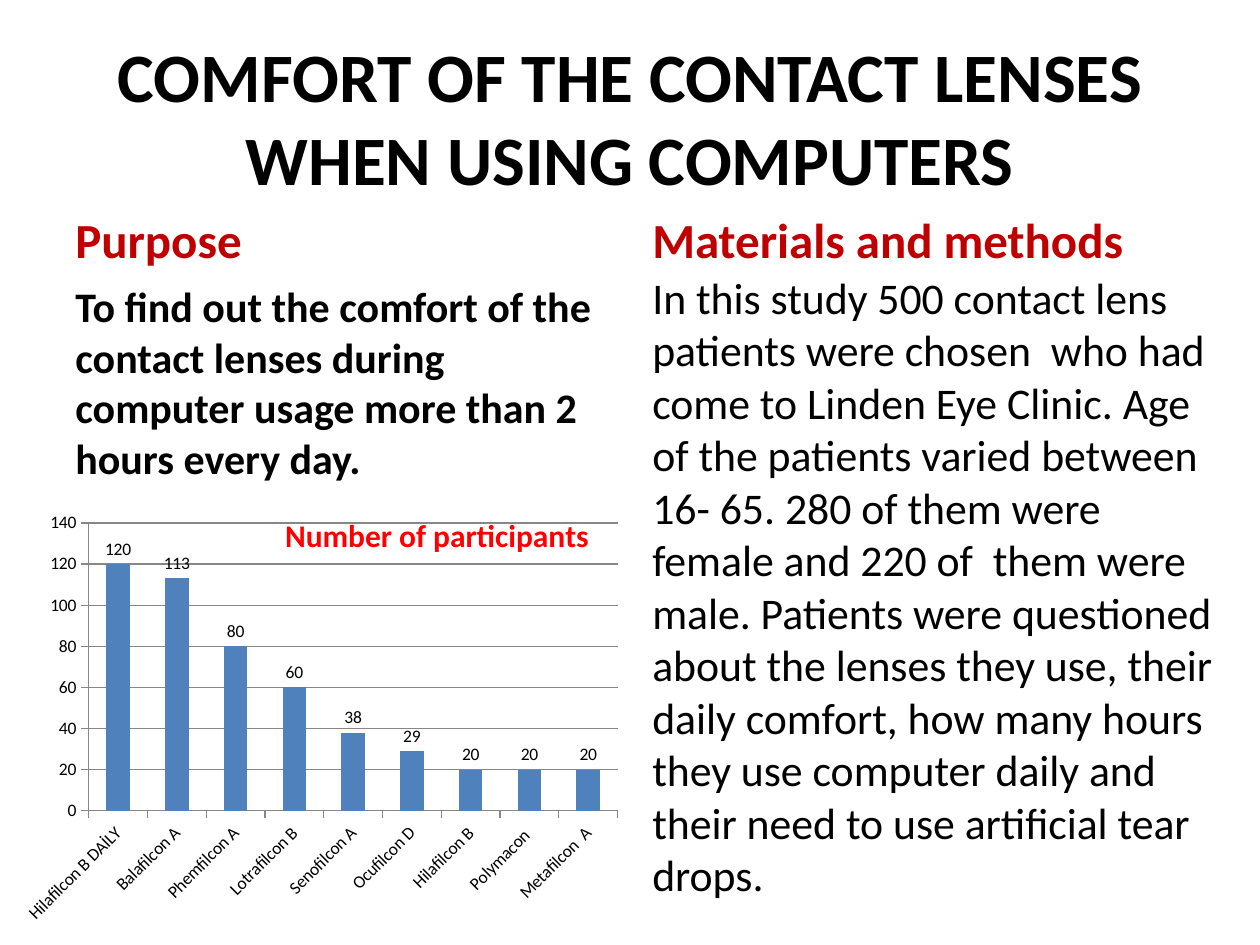
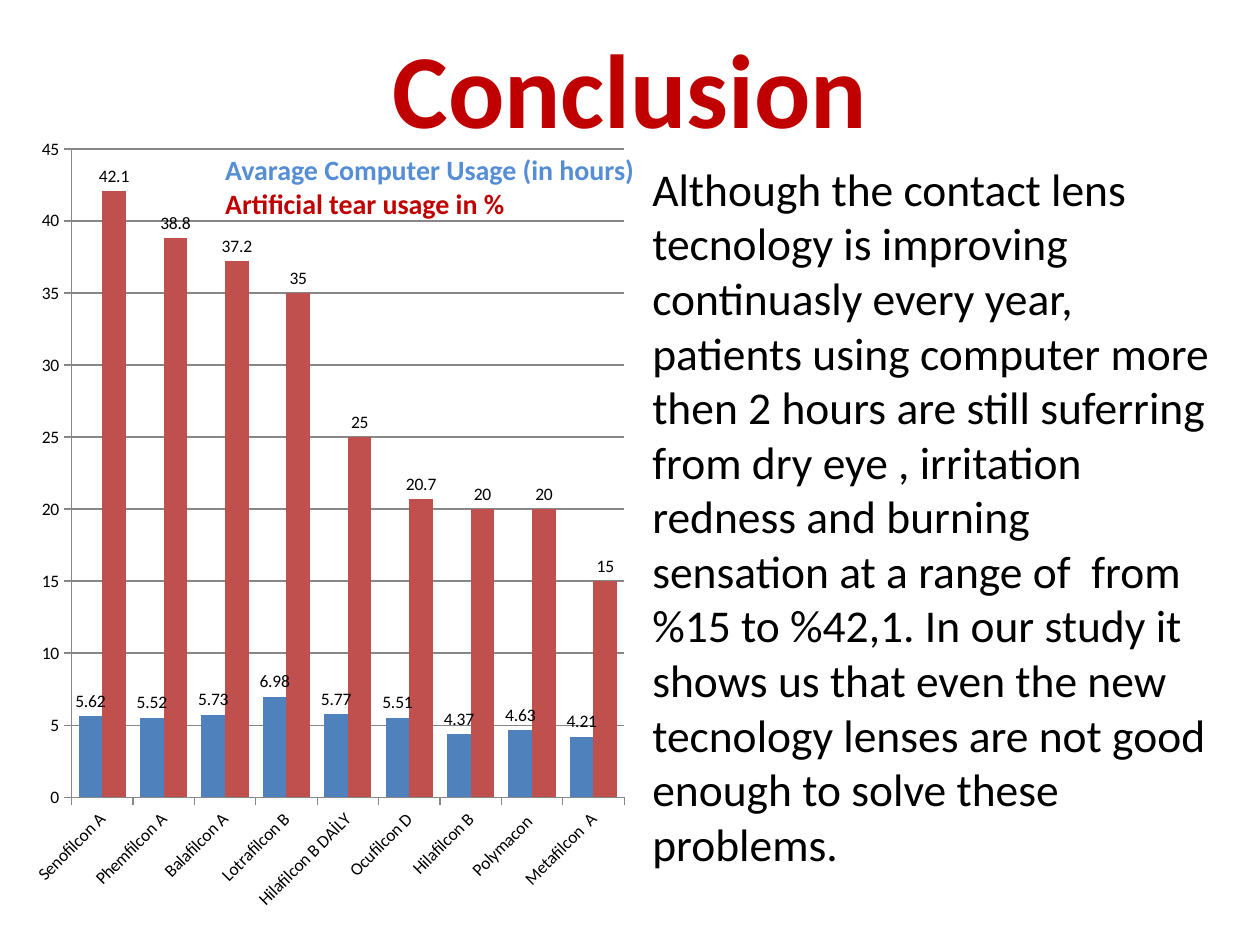
from collections import namedtuple

from lxml import etree
from pptx import Presentation
from pptx.chart.data import CategoryChartData
from pptx.dml.color import RGBColor
from pptx.enum.chart import XL_CHART_TYPE, XL_LABEL_POSITION, XL_TICK_MARK
from pptx.enum.text import MSO_ANCHOR, MSO_AUTO_SIZE, PP_ALIGN
from pptx.oxml.ns import qn
from pptx.util import Cm, Pt

BLACK = RGBColor(0x00, 0x00, 0x00)
DARK_RED = RGBColor(0xC0, 0x00, 0x00)
BRIGHT_RED = RGBColor(0xFF, 0x00, 0x00)
SKY_BLUE = RGBColor(0x55, 0x8E, 0xD5)
BAR_BLUE = RGBColor(0x4F, 0x81, 0xBD)
BAR_RED = RGBColor(0xC0, 0x50, 0x4D)
GRID_GRAY = RGBColor(0x87, 0x87, 0x87)
FONT = "Calibri"
TITLE_ONLY = 5

Box = namedtuple("Box", "left top width height")
COLUMN_WIDTH = 11.22
HEADING_HEIGHT = 1.27

PARTICIPANTS = {
    "Hilafilcon B DAİLY": 120, "Balafilcon A": 113, "Phemfilcon A": 80,
    "Lotrafilcon B": 60, "Senofilcon A": 38, "Ocufilcon D": 29,
    "Hilafilcon B": 20, "Polymacon ": 20, "Metafilcon  A": 20,
}
HOURS_AND_TEARS = {
    "Senofilcon A": (5.62, 42.1), "Phemfilcon A": (5.52, 38.8),
    "Balafilcon A": (5.73, 37.2), "Lotrafilcon B": (6.98, 35),
    "Hilafilcon B DAİLY": (5.77, 25), "Ocufilcon D": (5.51, 20.7),
    "Hilafilcon B": (4.37, 20), "Polymacon ": (4.63, 20),
    "Metafilcon  A": (4.21, 15),
}
PURPOSE = ("To find out the comfort of the contact lenses during computer usage "
           "more than 2 hours every day.")
METHODS = ("In this study 500 contact lens patients were chosen  who had come to "
           "Linden Eye Clinic. Age of the patients varied between 16- 65. 280 of them "
           "were female and 220 of  them were male. Patients were questioned about "
           "the lenses they use, their daily comfort, how many hours they use computer "
           "daily and their need to use artificial tear drops.")
CONCLUSION = ("Although the contact lens tecnology is improving continuasly every year, "
              "patients using computer more then 2 hours are still suferring from dry "
              "eye , irritation redness and burning sensation at a range of  from %15 "
              "to %42,1. In our study it shows us that even the new tecnology lenses "
              "are not good enough to solve these problems.")


def in_cm(box):
    return [Cm(length) for length in box]


def style_font(font, size, color, bold=False):
    font.name = FONT
    font.size = Pt(size)
    font.bold = bold
    font.color.rgb = color


def add_run(paragraph, text, size, color, bold=False):
    run = paragraph.add_run()
    run.text = text
    style_font(run.font, size, color, bold)


def add_title(slide, box, text, size, color):
    title = slide.shapes.title
    title.left, title.top, title.width, title.height = in_cm(box)
    frame = title.text_frame
    frame.auto_size = MSO_AUTO_SIZE.NONE
    frame.vertical_anchor = MSO_ANCHOR.MIDDLE
    frame.paragraphs[0].alignment = PP_ALIGN.CENTER
    add_run(frame.paragraphs[0], text, size, color, True)


def add_text(slide, box, lines, size, bold=False, anchor=MSO_ANCHOR.TOP):
    frame = slide.shapes.add_textbox(*in_cm(box)).text_frame
    frame.word_wrap = True
    frame.vertical_anchor = anchor
    for index, (text, color) in enumerate(lines):
        paragraph = frame.add_paragraph() if index else frame.paragraphs[0]
        add_run(paragraph, text, size, color, bold)


def add_section(slide, box, heading, body, size, bold=False, body_top=HEADING_HEIGHT,
                body_width=COLUMN_WIDTH):
    add_text(slide, Box(box.left, box.top, box.width, HEADING_HEIGHT),
             [(heading, DARK_RED)], 28, True, MSO_ANCHOR.BOTTOM)
    add_text(slide, Box(box.left, box.top + body_top, body_width, box.height - body_top),
             [(body, BLACK)], size, bold)


def set_layout(parent, index, **fractions):
    for old_layout in parent.findall(qn("c:layout")):
        parent.remove(old_layout)
    layout = etree.Element(qn("c:layout"))
    manual = etree.SubElement(layout, qn("c:manualLayout"))
    if "w" in fractions:
        etree.SubElement(manual, qn("c:layoutTarget"), val="inner")
    for side in "xy":
        etree.SubElement(manual, qn(f"c:{side}Mode"), val="edge")
    for side, fraction in fractions.items():
        etree.SubElement(manual, qn(f"c:{side}"), val=str(fraction))
    parent.insert(index, layout)


def add_column_chart(slide, box, categories, value_rows, colors, gap, axis_max, plot_area):
    data = CategoryChartData()
    data.categories = categories
    for number, values in enumerate(value_rows, 1):
        data.add_series(f"Series {number}", values)
    chart = slide.shapes.add_chart(XL_CHART_TYPE.COLUMN_CLUSTERED, *in_cm(box), data).chart
    chart.has_legend = False
    chart.has_title = False
    style_font(chart.font, 10, BLACK)

    plot = chart.plots[0]
    plot.vary_by_categories = False
    plot.gap_width = gap
    plot.overlap = 0
    for series, color in zip(plot.series, colors):
        series.format.fill.solid()
        series.format.fill.fore_color.rgb = color
        series.data_labels.show_value = True
        series.data_labels.position = XL_LABEL_POSITION.OUTSIDE_END

    names, scale = chart.category_axis, chart.value_axis
    for axis in (names, scale):
        axis.major_tick_mark = XL_TICK_MARK.OUTSIDE
        axis.format.line.color.rgb = GRID_GRAY
        style_font(axis.tick_labels.font, 10, BLACK)
    body = names._element.find(qn("c:txPr")).find(qn("a:bodyPr"))
    body.set("rot", "-2700000")
    body.set("vert", "horz")
    scale.minimum_scale = 0
    scale.maximum_scale = axis_max
    scale.has_major_gridlines = True
    scale.major_gridlines.format.line.color.rgb = GRID_GRAY
    set_layout(plot._element.getparent(), 0, **dict(zip("xywh", plot_area)))
    return chart


def add_chart_title(chart, text, left, top):
    chart.has_title = True
    title = chart.chart_title
    add_run(title.text_frame.paragraphs[0], text, 18, BRIGHT_RED, True)
    element = title._element
    set_layout(element, 1, x=left, y=top)
    for old_overlay in element.findall(qn("c:overlay")):
        element.remove(old_overlay)
    overlay = etree.Element(qn("c:overlay"), val="1")
    element.insert(2, overlay)


def build_study_slide(slide, page):
    add_title(slide, Box(1.27, 0.76, page.width - 2.54, 3.18),
              "COMFORT OF THE CONTACT LENSES WHEN USING COMPUTERS", 39.6, BLACK)
    add_section(slide, Box(1.27, 4.27, COLUMN_WIDTH, 12.75), "Purpose", PURPOSE, 24, True)
    add_section(slide, Box(12.9, 4.27, COLUMN_WIDTH, 14.48), "Materials and methods",
                METHODS, 25, body_top=1.06, body_width=11.99)
    chart = add_column_chart(slide, Box(0.3, 8.74, 12.4, 10.01), list(PARTICIPANTS),
                             [list(PARTICIPANTS.values())], [BAR_BLUE], 150, 140,
                             (0.12, 0.18, 0.86, 0.58))
    add_chart_title(chart, "Number of participants", 0.43, 0.15)


def build_conclusion_slide(slide, page):
    add_title(slide, Box(1.27, 0.76, page.width - 2.54, 1.96), "Conclusion", 60, DARK_RED)
    add_text(slide, Box(12.9, 3.12, 11.81, 15.52), [(CONCLUSION, BLACK)], 26)
    add_column_chart(slide, Box(0, 2.51, 13.11, page.height - 2.51), list(HOURS_AND_TEARS),
                     list(zip(*HOURS_AND_TEARS.values())), [BAR_BLUE, BAR_RED], 60, 45,
                     (0.11, 0.03, 0.85, 0.79))
    add_text(slide, Box(4.29, 2.95, 9.4, 2.39),
             [("Avarage Computer Usage (in hours)", SKY_BLUE),
              ("Artificial tear usage in %", DARK_RED)], 16, True)


def main():
    page = Box(0, 0, 25.4, 19.05)
    presentation = Presentation()
    presentation.slide_width = Cm(page.width)
    presentation.slide_height = Cm(page.height)
    for build in (build_study_slide, build_conclusion_slide):
        build(presentation.slides.add_slide(presentation.slide_layouts[TITLE_ONLY]), page)
    presentation.save("out.pptx")


if __name__ == "__main__":
    main()
